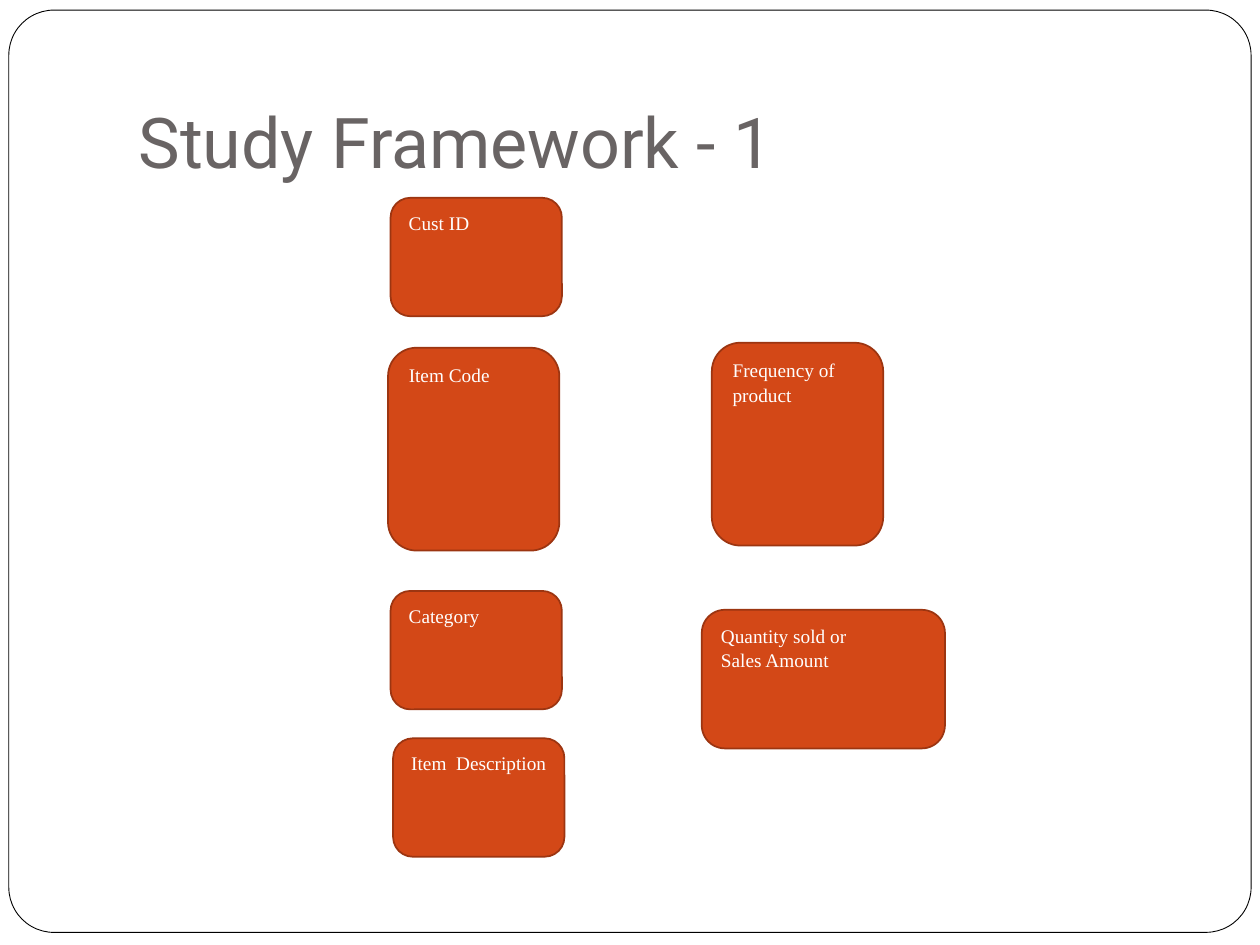
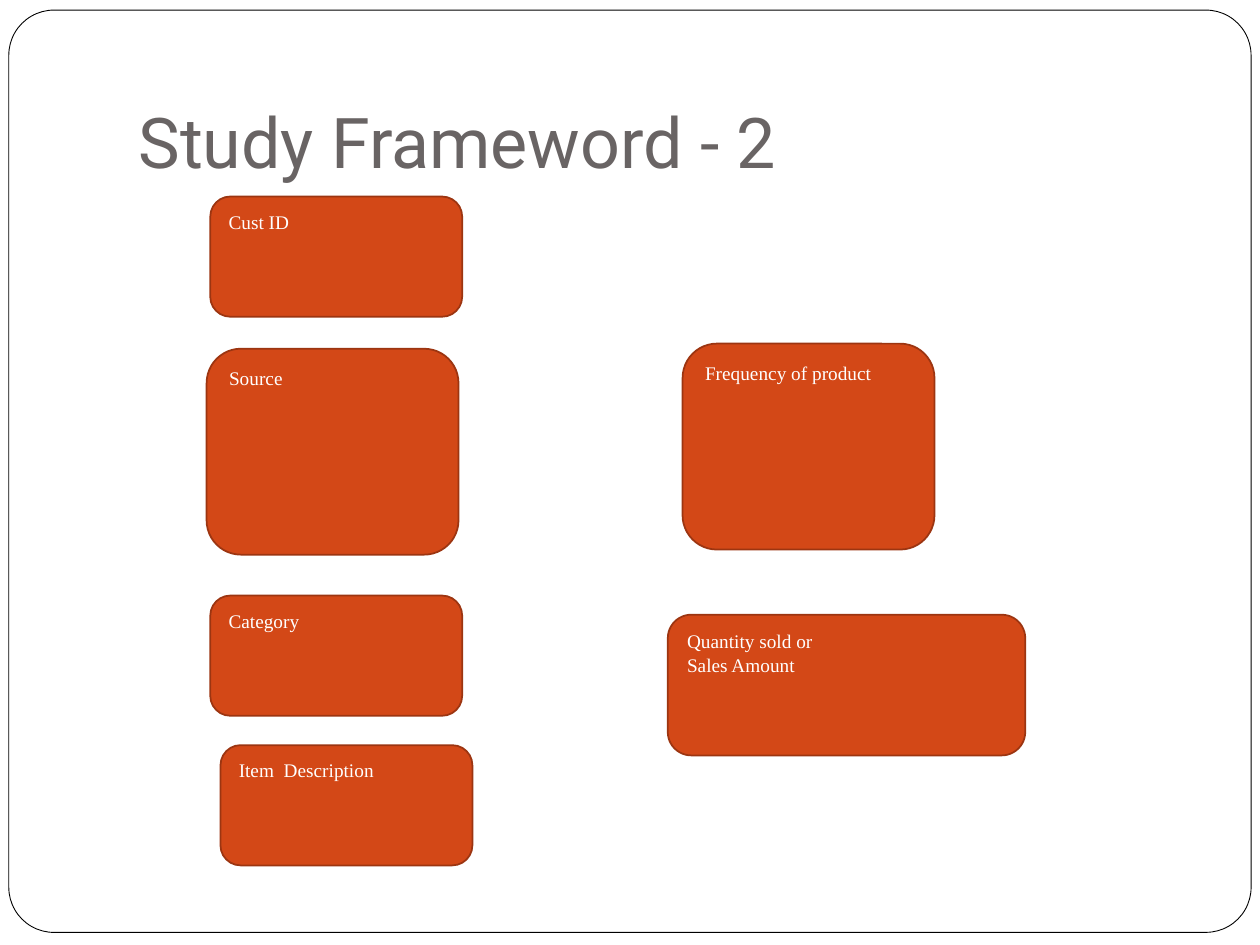
from pptx import Presentation
from pptx.dml.color import RGBColor
from pptx.enum.shapes import MSO_SHAPE
from pptx.enum.text import MSO_ANCHOR, MSO_AUTO_SIZE, PP_ALIGN
from pptx.util import Inches, Pt

ROUND = MSO_SHAPE.ROUNDED_RECTANGLE
LEFT = PP_ALIGN.LEFT
TOP, BOTTOM = MSO_ANCHOR.TOP, MSO_ANCHOR.BOTTOM
NO_FIT = MSO_AUTO_SIZE.NONE

WHITE, BLACK, GREY = "FFFFFF", "000000", "696464"
RUST, BROWN = "D34817", "9C3511"
TITLE_FONT, BOX_FONT = "Roboto", "Times New Roman"

# Diagram cells, measured from its top left corner: x, y, width, height
SHORT, TALL, WIDE = (1.36, 0.94), (1.36, 1.61), (1.93, 1.1)


def rgb(code):
    return RGBColor.from_string(code)


def style(par, face, size, color):
    par.alignment = LEFT
    par.font.name = face
    par.font.size = Pt(size)
    par.font.color.rgb = rgb(color)


def add_round(shapes, at, fill, line, weight):
    shape = shapes.add_shape(ROUND, *[Inches(v) for v in at])
    shape.shadow.inherit = False
    shape.fill.solid()
    shape.fill.fore_color.rgb = rgb(fill)
    shape.line.color.rgb = rgb(line)
    shape.line.width = Pt(weight)
    return shape


def add_box(shapes, at, text):
    frame = add_round(shapes, at, RUST, BROWN, 1).text_frame
    frame.word_wrap = True
    frame.vertical_anchor = TOP
    frame.margin_right = Inches(0.05)
    frame.text = text
    for par in frame.paragraphs:
        style(par, BOX_FONT, 11, WHITE)
        par.line_spacing = 1.06


def add_title(slide, text):
    title = slide.shapes.title
    title.left, title.top = Inches(1), Inches(0.3)
    title.width, title.height = Inches(8.5), Inches(1.25)
    frame = title.text_frame
    frame.text = text
    frame.auto_size = NO_FIT
    frame.word_wrap = True
    frame.vertical_anchor = BOTTOM
    frame.margin_bottom = Inches(0.1)
    style(frame.paragraphs[0], TITLE_FONT, 40, GREY)


def add_frame(slide, master):
    """Put the rounded border on the master, behind everything."""
    border = add_round(slide.shapes, (0.07, 0.08, 9.86, 7.32),
                       WHITE, BLACK, 0.5)
    border.adjustments[0] = 0.049
    master.shapes.element.insert(2, border.element)


def add_model(slide, origin, scale, second, last_x):
    """Draw the inputs on the left and the outcomes on the right."""
    cells = [
        ("Cust ID", 0.02, 0, SHORT),
        (second, 0, 1.19, TALL),
        ("Category", 0.02, 3.12, SHORT),
        ("Frequency of product", 2.57, 1.15, TALL),
        ("Quantity sold or\nSales Amount", 2.49, 3.27, WIDE),
        ("Item  Description", last_x, 4.29, SHORT),
    ]
    (left, top), (sx, sy) = origin, scale
    group = slide.shapes.add_group_shape()
    for text, x, y, (w, h) in cells:
        at = (left + x * sx, top + y * sy, w * sx, h * sy)
        add_box(group.shapes, at, text)


def main():
    deck = Presentation()
    deck.slide_width, deck.slide_height = Inches(10), Inches(7.5)
    layout = deck.slide_layouts[5]

    # Slide 1: by item code
    first = deck.slides.add_slide(layout)
    add_frame(first, deck.slide_master)
    add_title(first, "Study Framework - 1")
    add_model(first, (3.08, 1.57), (1, 1), "Item Code", 0.04)

    # Slide 2: by source, the same diagram stretched
    other = deck.slides.add_slide(layout)
    add_title(other, "Study Frameword - 2")
    add_model(other, (1.64, 1.56), (1.47, 1.015), "Source", 0.075)

    deck.save("out.pptx")


main()
